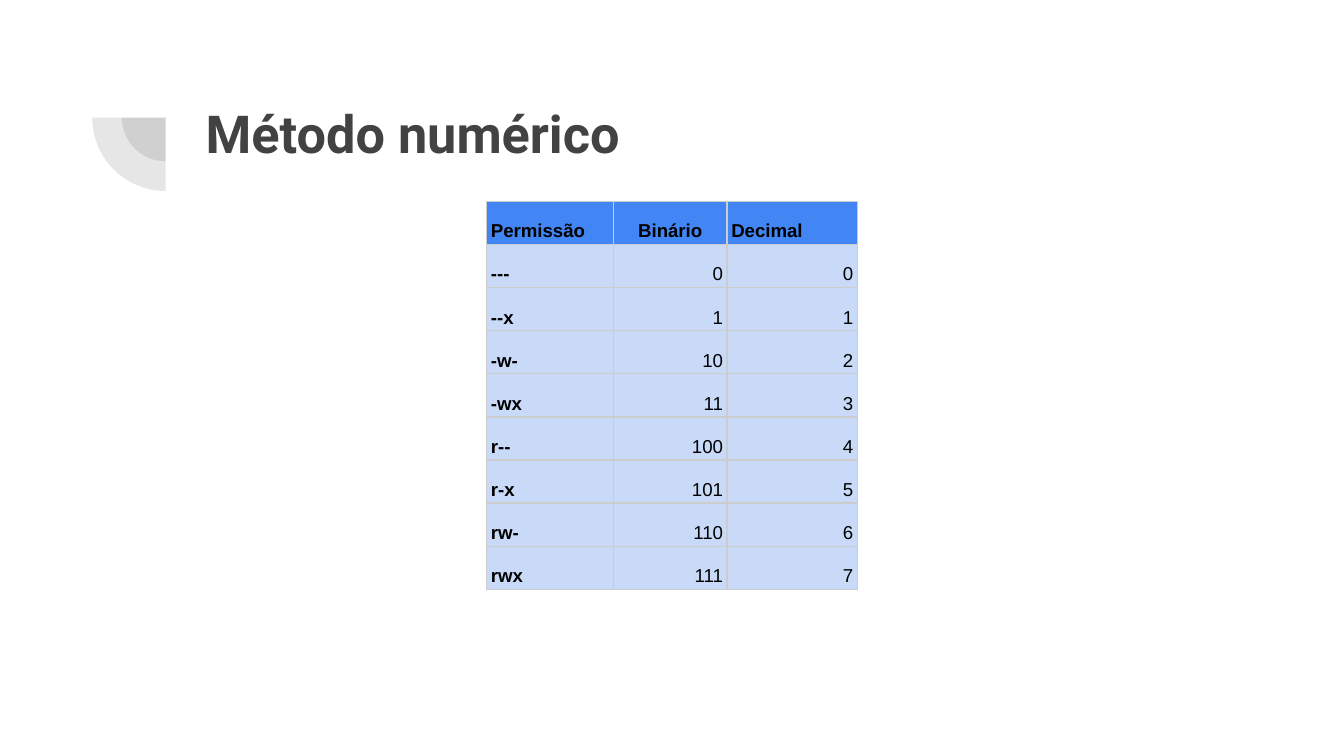
from lxml import etree
from pptx import Presentation
from pptx.dml.color import RGBColor
from pptx.enum import shapes, text
from pptx.oxml import ns
from pptx.util import Pt

GREY = "424242"
HEADINGS = ("Permissão", "Binário", "Decimal")
PERMISSIONS = ("---", "--x", "-w-", "-wx", "r--", "r-x", "rw-", "rwx")
COLUMN_WIDTHS = (67.75, 61, 69.75)
ROW_HEIGHT = 23.1
LEFT, CENTER, RIGHT = text.PP_ALIGN.LEFT, text.PP_ALIGN.CENTER, text.PP_ALIGN.RIGHT


def color(value):
    """Turn a hex string into a colour."""
    return RGBColor.from_string(value)


def style_font(font, name, size, value, bold):
    """Set the look of a font."""
    font.name, font.size, font.bold = name, Pt(size), bold
    font.color.rgb = color(value)


def add_quarter(slide, radius):
    """Add a translucent lower-left quarter disc around the shared centre."""
    center_x, center_y = 88.7, 63
    quarter = slide.shapes.add_shape(
        shapes.MSO_SHAPE.PIE, Pt(center_x - radius), Pt(center_y - radius),
        Pt(2 * radius), Pt(2 * radius))
    quarter.adjustments[0], quarter.adjustments[1] = 108, 162
    quarter.rotation = 270
    quarter.shadow.inherit = False
    quarter.line.fill.background()
    quarter.fill.solid()
    quarter.fill.fore_color.rgb = color(GREY)
    tint = quarter.fill._xPr.find(".//" + ns.qn("a:srgbClr"))
    etree.SubElement(tint, ns.qn("a:alpha"), val="13000")


def set_title(slide, wording):
    """Place and format the title."""
    title = slide.shapes.title
    title.left, title.top, title.width, title.height = Pt(103), Pt(46.8), Pt(553.7), Pt(78.5)
    frame = title.text_frame
    frame.text = wording
    frame.word_wrap = True
    frame.auto_size = text.MSO_AUTO_SIZE.NONE
    frame.vertical_anchor = text.MSO_ANCHOR.TOP
    frame.margin_left = frame.margin_right = frame.margin_top = frame.margin_bottom = Pt(7.2)
    heading = frame.paragraphs[0]
    heading.alignment = LEFT
    style_font(heading.font, "Roboto", 28, GREY, True)


def add_borders(cell, value, width):
    """Draw the four borders of a cell."""
    properties = cell._tc.get_or_add_tcPr()
    for index, side in enumerate(("lnL", "lnR", "lnT", "lnB")):
        border = etree.Element(ns.qn("a:" + side), w=str(Pt(width)))
        fill = etree.SubElement(border, ns.qn("a:solidFill"))
        etree.SubElement(fill, ns.qn("a:srgbClr"), val=value)
        properties.insert(index, border)


def fill_cell(cell, wording, fill, alignment, bold):
    """Write and format one table cell."""
    cell.text = wording
    cell.vertical_anchor = text.MSO_ANCHOR.BOTTOM
    cell.margin_left = cell.margin_right = Pt(2.25)
    cell.margin_top = cell.margin_bottom = Pt(1.5)
    cell.fill.solid()
    cell.fill.fore_color.rgb = color(fill)
    paragraph = cell.text_frame.paragraphs[0]
    paragraph.alignment = alignment
    paragraph.line_spacing = 1.15
    style_font(paragraph.font, "Arial", 10, "000000", bold)
    add_borders(cell, "CCCCCC", 0.75)


def add_permissions(slide):
    """Add the table of permissions with their binary and decimal values."""
    rows = [HEADINGS] + [(flags, f"{number:b}", str(number))
                         for number, flags in enumerate(PERMISSIONS)]
    table = slide.shapes.add_table(
        len(rows), len(HEADINGS), Pt(260.8), Pt(108),
        Pt(sum(COLUMN_WIDTHS)), Pt(ROW_HEIGHT * len(rows))).table
    for column, width in zip(table.columns, COLUMN_WIDTHS):
        column.width = Pt(width)
    for r, values in enumerate(rows):
        table.rows[r].height = Pt(ROW_HEIGHT)
        header = r == 0
        fill = "4285F4" if header else "C9DAF8"
        alignments = (LEFT, CENTER, LEFT) if header else (LEFT, RIGHT, RIGHT)
        for c, (wording, alignment) in enumerate(zip(values, alignments)):
            fill_cell(table.cell(r, c), wording, fill, alignment, header or c == 0)


def main():
    """Build the slide and save it."""
    presentation = Presentation()
    presentation.slide_width, presentation.slide_height = Pt(720), Pt(405)
    slide = presentation.slides.add_slide(presentation.slide_layouts[5])
    for radius in (23.4, 39.3):
        add_quarter(slide, radius)
    set_title(slide, "Método numérico")
    add_permissions(slide)
    presentation.save("out.pptx")


if __name__ == "__main__":
    main()
